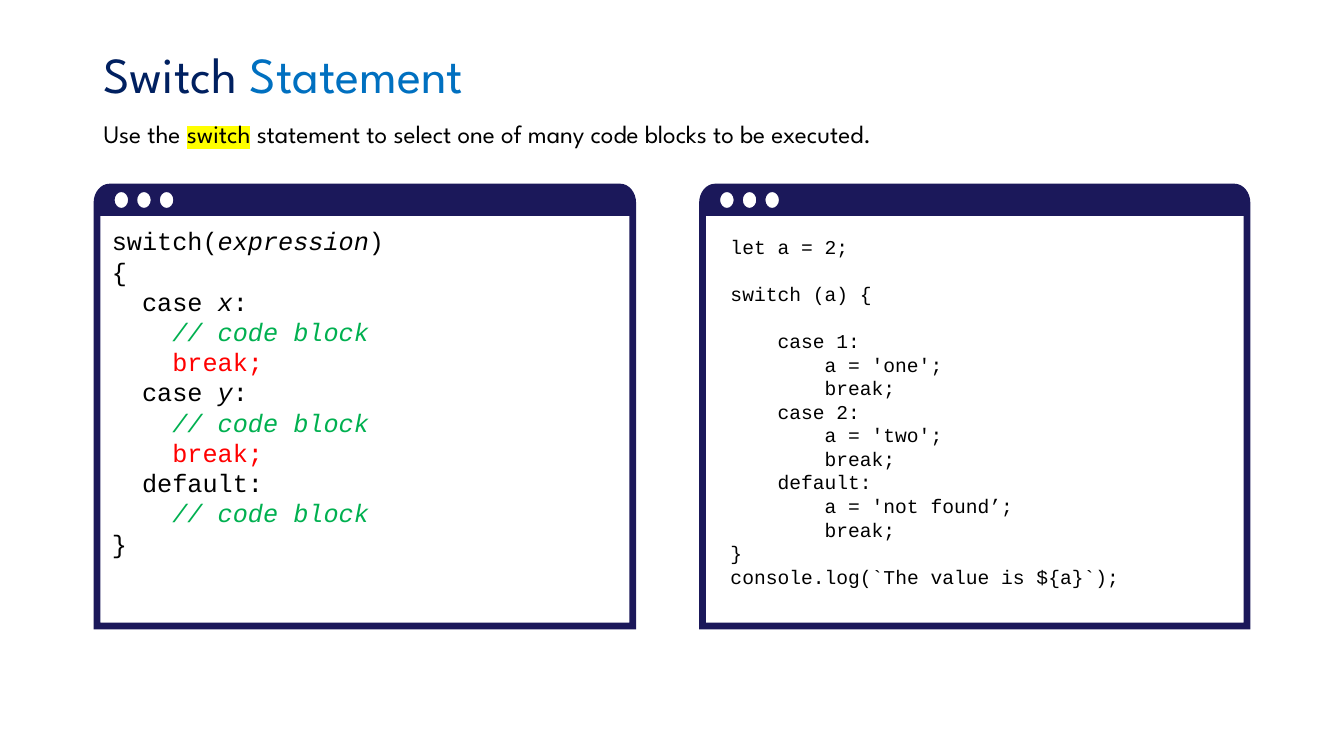
from lxml.etree import SubElement
from pptx import Presentation
from pptx.dml.color import RGBColor
from pptx.enum.text import MSO_ANCHOR
from pptx.oxml.ns import qn
from pptx.util import Cm, Pt

NAVY = RGBColor(0x00, 0x20, 0x60)
BLUE = RGBColor(0x00, 0x70, 0xC0)
BLACK = RGBColor(0x00, 0x00, 0x00)
GREEN = RGBColor(0x00, 0xB0, 0x50)
RED = RGBColor(0xFF, 0x00, 0x00)
FRAME = RGBColor(0x1B, 0x18, 0x5A)
YELLOW = RGBColor(0xFF, 0xFF, 0x00)

HEADING_FONT = "League Spartan"
CODE_FONT = "Courier New"
CHARACTER_WIDTH = 0.6  # Courier New advance, as a share of the text size
LINE_HEIGHT = 1.21  # height of a blank code line, as a share of the text size
ROUNDNESS = 0.55  # Bezier handle length for a quarter ellipse, as a share of its radius

# Each code line: indent in characters, blank lines above, runs of text and format
COMMENT = (4, 0, [("// code block", {"color": GREEN, "italic": True})])
BREAK = (4, 0, [("break;", {"color": RED})])


def syntax_case(label):
    return (2, 0, [("case ", {}), (label, {"italic": True}), (":", {})])


SYNTAX = [
    (0, 0, [("switch(", {}), ("expression", {"italic": True}), (")", {})]),
    (0, 0, [("{", {})]),
    syntax_case("x"), COMMENT, BREAK,
    syntax_case("y"), COMMENT, BREAK,
    (2, 0, [("default:", {})]),
    COMMENT,
    (0, 0, [("}", {})]),
]
EXAMPLE = [(indent, blanks, [(text, {})]) for indent, blanks, text in [
    (0, 0, "let a = 2;"),
    (0, 1, "switch (a) {"),
    (4, 1, "case 1:"),
    (8, 0, "a = 'one';"),
    (8, 0, "break;"),
    (4, 0, "case 2:"),
    (8, 0, "a = 'two';"),
    (8, 0, "break;"),
    (4, 0, "default:"),
    (8, 0, "a = 'not found’;"),
    (8, 0, "break;"),
    (0, 0, "}"),
    (0, 0, "console.log(`The value is ${a}`);"),
]]


def add_run(paragraph, text, *, font, size, color=BLACK, italic=False, highlight=None):
    run = paragraph.add_run()
    run.text = text
    run.font.size = Pt(size)
    run.font.italic = italic
    run.font.color.rgb = color
    if highlight is not None:
        mark = SubElement(run.font._element, qn("a:highlight"))
        SubElement(mark, qn("a:srgbClr")).set("val", str(highlight))
    run.font.name = font


def add_text_frame(slide, left, top, width, height, anchor=MSO_ANCHOR.TOP):
    box = slide.shapes.add_textbox(Cm(left), Cm(top), Cm(width), Cm(height))
    frame = box.text_frame
    frame.word_wrap = True
    frame.vertical_anchor = anchor
    return frame


def add_header(slide, left, top, width):
    title = add_text_frame(slide, left, top, width, 2.03, MSO_ANCHOR.MIDDLE).paragraphs[0]
    title.line_spacing = 0.9
    for text, color in (("Switch ", NAVY), ("Statement", BLUE)):
        add_run(title, text, font=HEADING_FONT, size=36, color=color)

    subtitle = add_text_frame(slide, left, top + 1.93, 24.16, 1.02, MSO_ANCHOR.MIDDLE).paragraphs[0]
    for text, highlight in (
        ("Use the ", None),
        ("switch", YELLOW),
        (" statement to select one of many code blocks to be executed.", None),
    ):
        add_run(subtitle, text, font=HEADING_FONT, size=18, highlight=highlight)


def curve(start, corner, end):
    """A quarter ellipse as two Bezier handles and the end point."""
    handles = [
        tuple(a + ROUNDNESS * (b - a) for a, b in zip(point, corner)) for point in (start, end)
    ]
    return [*handles, end]


def ellipse(x, y, radius_x, radius_y):
    """A closed contour: the start point, then one curve for each quarter."""
    west, north = (x - radius_x, y), (x, y - radius_y)
    east, south = (x + radius_x, y), (x, y + radius_y)
    ends = [north, west, south, east, north]
    corners = [(west[0], north[1]), (west[0], south[1]), (east[0], south[1]), (east[0], north[1])]
    return [[north]] + [curve(*quarter) for quarter in zip(ends, corners, ends[1:])]


def add_outline(slide, contours):
    """Draw contours of segments; a segment of three points is a Bezier curve."""
    builder = None
    for contour in contours:
        ends = [(Cm(segment[-1][0]), Cm(segment[-1][1])) for segment in contour]
        if builder is None:
            builder = slide.shapes.build_freeform(*ends[0])
        else:
            builder.move_to(*ends[0])
        builder.add_line_segments(ends[1:], close=True)
    shape = builder.convert_to_shape()

    segments = [segment for contour in contours for segment in contour[1:]]
    lines = list(shape._element.iter(qn("a:lnTo")))
    for line, segment in zip(lines, segments):
        if len(segment) == 3:
            line.tag = qn("a:cubicBezTo")
            line.remove(line[0])
            for x, y in segment:
                point = SubElement(line, qn("a:pt"))
                point.set("x", str(Cm(x) - shape.left))
                point.set("y", str(Cm(y) - shape.top))
    return shape


def add_window(slide, left, top, width, height):
    """A browser frame whose page and three buttons are cut out."""
    right, bottom = left + width, top + height
    border, bar_height = 0.17, 0.81
    corner_x, corner_y = 0.4, 0.48
    outline = [
        [(left, top + corner_y)],
        curve((left, top + corner_y), (left, top), (left + corner_x, top)),
        [(right - corner_x, top)],
        curve((right - corner_x, top), (right, top), (right, top + corner_y)),
        [(right, bottom)],
        [(left, bottom)],
    ]
    page = [
        [(left + border, top + bar_height)],
        [(left + border, bottom - border)],
        [(right - border, bottom - border)],
        [(right - border, top + bar_height)],
    ]
    buttons = [ellipse(left + 0.7 + 0.57 * index, top + 0.41, 0.17, 0.2) for index in range(3)]
    window = add_outline(slide, [outline, page, *buttons])
    window.shadow.inherit = False
    window.fill.solid()
    window.fill.fore_color.rgb = FRAME
    window.line.fill.background()


def add_code(slide, left, top, width, height, lines, size):
    frame = add_text_frame(slide, left, top, width, height)
    for index, (indent, blanks, runs) in enumerate(lines):
        paragraph = frame.paragraphs[0] if index == 0 else frame.add_paragraph()
        if indent:
            margin = Pt(indent * CHARACTER_WIDTH * size)
            paragraph._p.get_or_add_pPr().set("marL", str(margin))
        if blanks:
            paragraph.space_before = Pt(blanks * LINE_HEIGHT * size)
        for text, style in runs:
            add_run(paragraph, text, font=CODE_FONT, size=size, **style)


def main():
    presentation = Presentation()
    presentation.slide_width, presentation.slide_height = Cm(33.87), Cm(19.05)
    slide = presentation.slides.add_slide(presentation.slide_layouts[6])
    add_header(slide, 2.36, 0.93, 29.21)
    add_window(slide, 2.36, 4.63, 13.67, 11.23)
    add_code(slide, 2.57, 5.56, 12.24, 8.71, SYNTAX, 18)
    add_window(slide, 17.62, 4.63, 13.89, 11.23)
    add_code(slide, 18.16, 5.79, 13.13, 9.25, EXAMPLE, 14)
    presentation.save("out.pptx")


if __name__ == "__main__":
    main()
